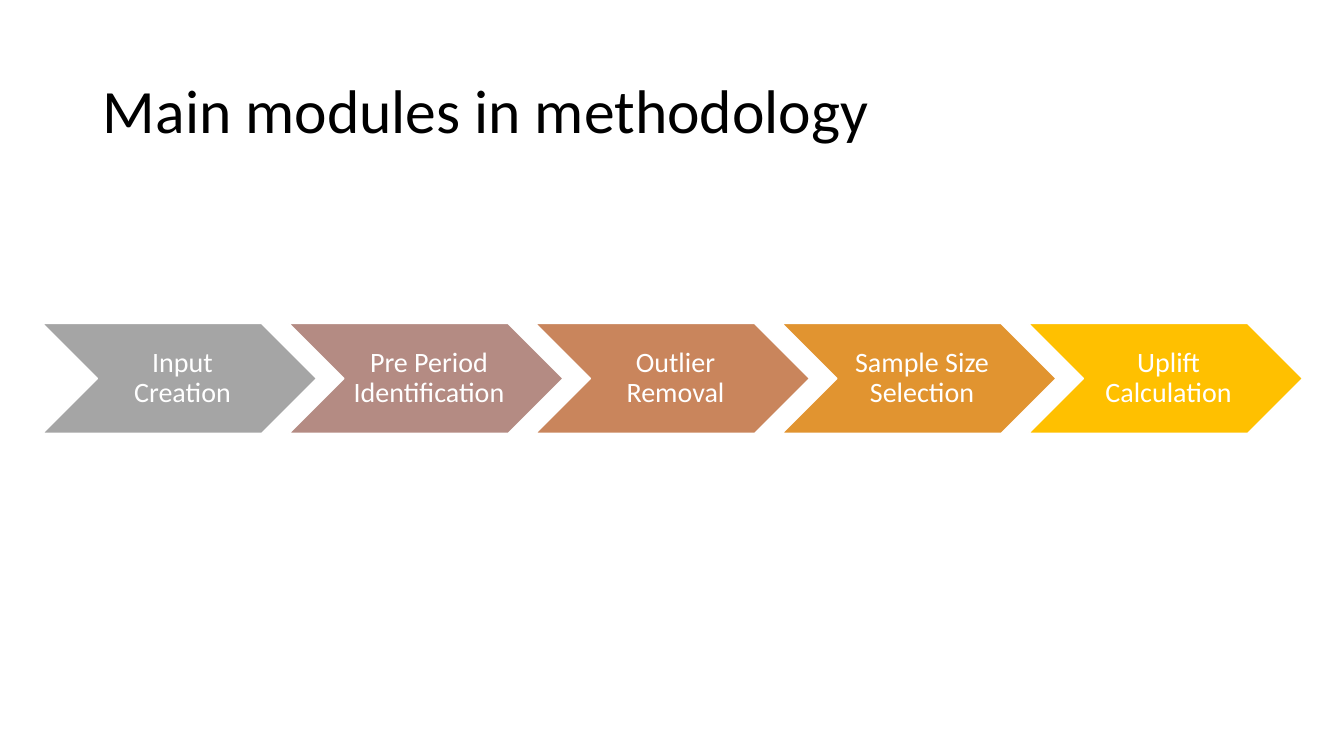
from dataclasses import dataclass

from pptx import Presentation
from pptx.dml.color import RGBColor
from pptx.enum.shapes import MSO_SHAPE
from pptx.enum.text import MSO_ANCHOR, PP_ALIGN
from pptx.util import Inches, Pt

CHEVRON = MSO_SHAPE.CHEVRON
MIDDLE = MSO_ANCHOR.MIDDLE
LEFT, CENTER = PP_ALIGN.LEFT, PP_ALIGN.CENTER
TITLE_ONLY_LAYOUT = 5
FONT = "Calibri"

# Chevron row, in inches
FIRST_LEFT, LAST_LEFT = 0.42, 10.2
TOP, WIDTH, HEIGHT = 3.21, 2.72, 1.09


@dataclass
class Module:
    name: str
    color: str


MODULES = [
    Module("Input Creation", "A5A5A5"),
    Module("Pre Period Identification", "B48B83"),
    Module("Outlier Removal", "C9855C"),
    Module("Sample Size Selection", "E19430"),
    Module("Uplift Calculation", "FFC000"),
]


def rgb(value: str) -> RGBColor:
    return RGBColor.from_string(value)


def write_text(shape, text: str, *, size: float, color: str, align=LEFT) -> None:
    frame = shape.text_frame
    frame.word_wrap = True
    frame.vertical_anchor = MIDDLE
    para = frame.paragraphs[0]
    para.alignment = align
    para.line_spacing = 0.9
    span = para.add_run()
    span.text = text
    span.font.name = FONT
    span.font.size = Pt(size)
    span.font.color.rgb = rgb(color)


def add_title(page, text: str) -> None:
    title = page.shapes.title
    title.left, title.top = Inches(0.92), Inches(0.4)
    title.width, title.height = Inches(11.5), Inches(1.45)
    write_text(title, text, size=44, color="000000")


def add_module(page, module: Module, left: float) -> None:
    chevron = page.shapes.add_shape(
        CHEVRON, Inches(left), Inches(TOP), Inches(WIDTH), Inches(HEIGHT))
    chevron.shadow.inherit = False
    chevron.fill.solid()
    chevron.fill.fore_color.rgb = rgb(module.color)
    chevron.line.color.rgb = rgb("FFFFFF")
    chevron.line.width = Pt(1)
    frame = chevron.text_frame
    frame.margin_left = Inches(0.09)
    frame.margin_top = frame.margin_right = frame.margin_bottom = Inches(0.03)
    write_text(chevron, module.name, size=20, color="FFFFFF", align=CENTER)


def main() -> None:
    deck = Presentation()
    deck.slide_width, deck.slide_height = Inches(13.33), Inches(7.5)
    page = deck.slides.add_slide(deck.slide_layouts[TITLE_ONLY_LAYOUT])

    # Title
    add_title(page, "Main modules in methodology")

    # Evenly spaced process steps
    pitch = (LAST_LEFT - FIRST_LEFT) / (len(MODULES) - 1)
    for index, module in enumerate(MODULES):
        add_module(page, module, FIRST_LEFT + index * pitch)

    deck.save("out.pptx")


if __name__ == "__main__":
    main()
